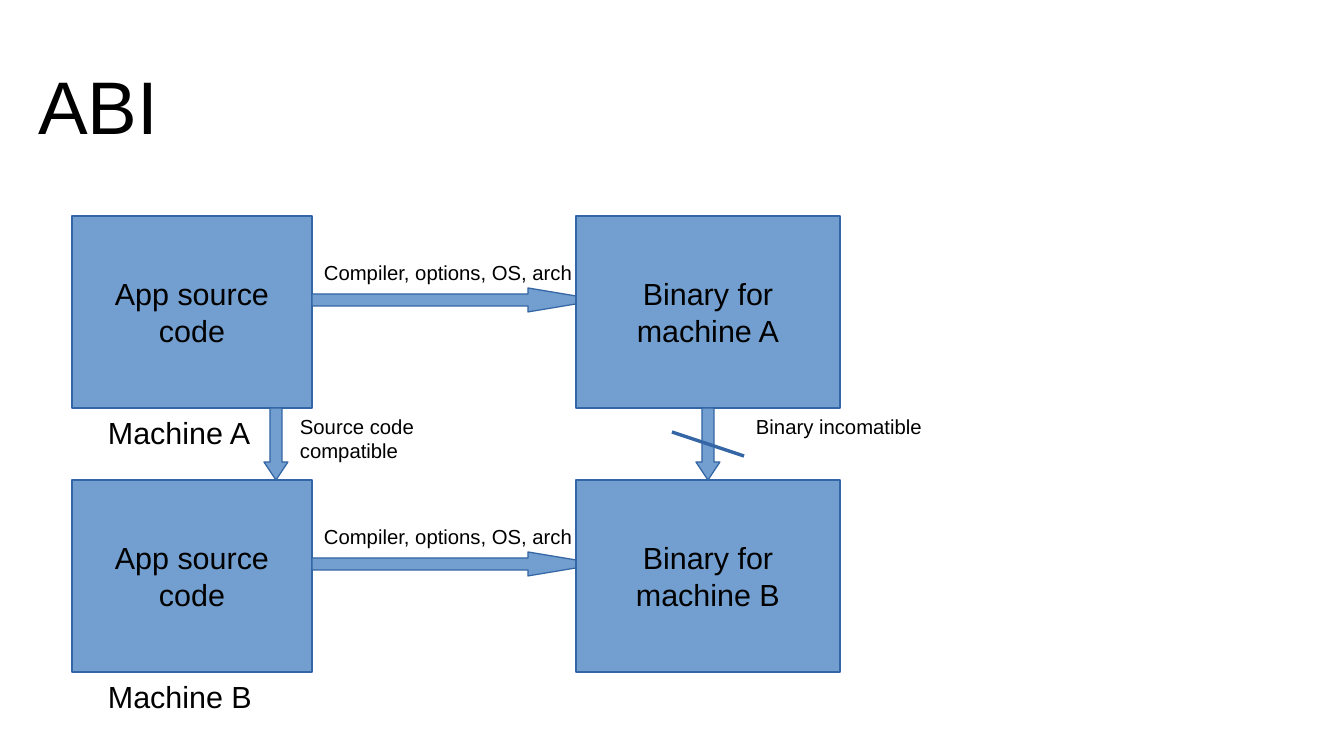
"""Build a slide on source and binary compatibility between two machines."""
from dataclasses import dataclass

from lxml import etree
from pptx import Presentation
from pptx.dml.color import RGBColor
from pptx.enum.shapes import MSO_CONNECTOR, MSO_SHAPE
from pptx.enum.text import MSO_ANCHOR, PP_ALIGN
from pptx.oxml.ns import qn
from pptx.util import Cm, Pt

RECTANGLE = MSO_SHAPE.RECTANGLE
RIGHT_ARROW = MSO_SHAPE.RIGHT_ARROW
DOWN_ARROW = MSO_SHAPE.DOWN_ARROW
STRAIGHT = MSO_CONNECTOR.STRAIGHT
TOP, MIDDLE = MSO_ANCHOR.TOP, MSO_ANCHOR.MIDDLE
LEFT, CENTER = PP_ALIGN.LEFT, PP_ALIGN.CENTER

BLUE = RGBColor(0x72, 0x9F, 0xCF)
EDGE = RGBColor(0x34, 0x65, 0xA4)
BLACK = RGBColor(0, 0, 0)

CELL = Cm(0.5)
SLIDE_COLS, SLIDE_ROWS = 56, 31.5
SOURCE_COL, SOURCE_COLS = 3, 10
BINARY_COL, BINARY_COLS = 24, 11
BOX_ROWS = 8
GAP_ROW, GAP_ROWS = 17, 3
COMPILE_COL = SOURCE_COL + SOURCE_COLS
INSETS = (Cm(0.25), Cm(0.125))


@dataclass(frozen=True)
class Area:
    """A block of grid cells."""
    col: float
    row: float
    cols: float
    rows: float

    def lengths(self) -> tuple[int, ...]:
        """Return left, top, width and height."""
        return tuple(round(n * CELL) for n in (self.col, self.row, self.cols, self.rows))


@dataclass(frozen=True)
class Machine:
    """One machine with its build row."""
    letter: str
    row: float


@dataclass(frozen=True)
class Port:
    """A move from machine A to machine B."""
    arrow_col: float
    note_col: float
    note: str


MACHINES = (Machine("A", 9), Machine("B", 20))
PORTS = (Port(11, 12, "Source code compatible"), Port(29, 31, "Binary incomatible"))


def write(holder, wording: str, size: float, anchor=TOP, align=LEFT, insets=INSETS) -> None:
    """Put one styled paragraph in a shape."""
    frame = holder.text_frame
    side, end = insets
    layout = {"word_wrap": True, "vertical_anchor": anchor, "margin_left": side,
              "margin_right": side, "margin_top": end, "margin_bottom": end}
    for key, value in layout.items():
        setattr(frame, key, value)
    paragraph = frame.paragraphs[0]
    paragraph.alignment = align
    run = paragraph.add_run()
    run.text = wording
    for key, value in {"name": "Arial", "size": Pt(size)}.items():
        setattr(run.font, key, value)
    run.font.color.rgb = BLACK


def outline(line) -> None:
    """Give a line the hairline edge."""
    line.color.rgb = EDGE
    line.width = Pt(0)


def add_block(slide, kind, area: Area, adjustments: tuple[float, ...] = ()):
    """Draw a blue box or arrow."""
    block = slide.shapes.add_shape(kind, *area.lengths())
    block.shadow.inherit = False
    block.fill.solid()
    block.fill.fore_color.rgb = BLUE
    outline(block.line)
    for index, value in enumerate(adjustments):
        block.adjustments[index] = value
    return block


def add_label(slide, area: Area, wording: str, size: float, **style) -> None:
    """Write text straight on the slide."""
    write(slide.shapes.add_textbox(*area.lengths()), wording, size, **style)


def add_box(slide, area: Area, wording: str) -> None:
    """Draw a box with a centred caption."""
    write(add_block(slide, RECTANGLE, area), wording, 18, anchor=MIDDLE, align=CENTER)


def add_machine(slide, machine: Machine) -> None:
    """Draw source, compile step and binary of a machine."""
    row = machine.row
    add_box(slide, Area(SOURCE_COL, row, SOURCE_COLS, BOX_ROWS), "App source code")
    add_block(slide, RIGHT_ARROW, Area(COMPILE_COL, row + 3, 12, 1), (0.5, 3))
    add_label(slide, Area(COMPILE_COL, row + 1.6, 13, 2.4), "Compiler, options, OS, arch", 12)
    add_label(slide, Area(4, row + BOX_ROWS, 7, 2), f"Machine {machine.letter}", 18)
    add_box(slide, Area(BINARY_COL, row, BINARY_COLS, BOX_ROWS),
            f"Binary for machine {machine.letter}")


def add_port(slide, port: Port) -> None:
    """Draw a down arrow with its note."""
    add_block(slide, DOWN_ARROW, Area(port.arrow_col, GAP_ROW, 1, GAP_ROWS), (0.5, 0.75))
    add_label(slide, Area(port.note_col, GAP_ROW, 8, 2.4), port.note, 12)


def add_strike(slide) -> None:
    """Cross out the binary arrow."""
    ends = (round(n * CELL) for n in (28, GAP_ROW + 1, 31, GAP_ROW + 2))
    strike = slide.shapes.add_connector(STRAIGHT, *ends)
    outline(strike.line)
    etree.SubElement(strike._element.spPr, qn("a:effectLst"))


def main() -> None:
    """Build and save the slide."""
    deck = Presentation()
    deck.slide_width = round(SLIDE_COLS * CELL)
    deck.slide_height = round(SLIDE_ROWS * CELL)
    slide = deck.slides.add_slide(deck.slide_layouts[6])
    add_label(slide, Area(1.6, 1.7, 50.4, 5.3), "ABI", 44, anchor=MIDDLE, insets=(0, 0))
    for machine in MACHINES:
        add_machine(slide, machine)
    for port in PORTS:
        add_port(slide, port)
    add_strike(slide)
    deck.save("out.pptx")


if __name__ == "__main__":
    main()
